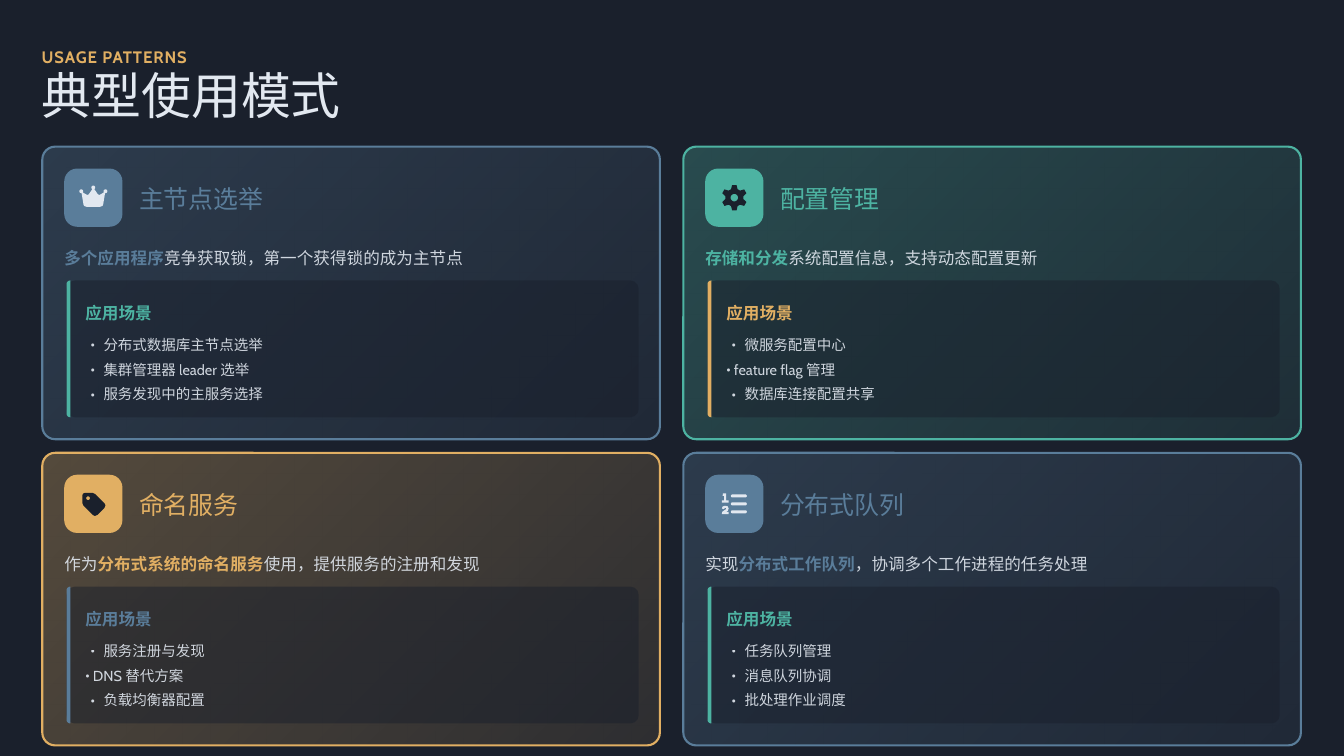
import math
from dataclasses import dataclass

from pptx import Presentation, util as u
from pptx.dml.color import RGBColor
from pptx.enum import shapes, text
from pptx.oxml.ns import qn


@dataclass(frozen=True)
class Theme:
    night: str = "1A202C"
    pale: str = "E2E8F0"
    blue: str = "5A7D9A"
    teal: str = "4DB3A2"
    amber: str = "E1AF63"
    latin: str = "Cabin"
    chinese: str = "Noto Sans CJK SC"
    title: float = 47.5
    heading: float = 23.7
    body: float = 15.8
    item: float = 13.8
    soft: int = 90  # opacity of body text, percent


T = Theme()


def set_alpha(color_node, percent):
    color_node.makeelement(qn("a:alpha"), {})
    alpha = color_node.makeelement(qn("a:alpha"), {"val": str(percent * 1000)})
    color_node.append(alpha)


def add_run(paragraph, words, size, color, bold=False, face=T.latin, alpha=100, spacing=0):
    run = paragraph.add_run()
    run.text = words
    for name, value in dict(size=u.Pt(size), bold=bold, name=face).items():
        setattr(run.font, name, value)
    run.font.color.rgb = RGBColor.from_string(color)
    if alpha < 100:
        set_alpha(run._r.xpath(".//a:srgbClr")[0], alpha)
    properties = run._r.get_or_add_rPr()
    if spacing:
        properties.set("spc", str(spacing))
    east_asian = properties.makeelement(qn("a:ea"), {"typeface": T.chinese})
    properties.find(qn("a:latin")).addnext(east_asian)


def add_text_frame(slide, left, top, width, height):
    box = slide.shapes.add_textbox(*map(u.Inches, (left, top, width, height)))
    frame = box.text_frame
    settings = dict(word_wrap=True, vertical_anchor=text.MSO_ANCHOR.MIDDLE,
                    margin_left=0, margin_right=0, margin_top=0, margin_bottom=0)
    for name, value in settings.items():
        setattr(frame, name, value)
    return frame


def add_line_of_text(slide, bounds, spacing, runs):
    paragraph = add_text_frame(slide, *bounds).paragraphs[0]
    paragraph.line_spacing = spacing
    for run in runs:
        add_run(paragraph, **run)


def add_list(slide, bounds, items):
    frame = add_text_frame(slide, *bounds)
    for index, item in enumerate(items):
        paragraph = frame.paragraphs[0] if index == 0 else frame.add_paragraph()
        paragraph.line_spacing = u.Pt(23.6)
        # Latin items sit closer to their bullet than Chinese ones.
        margin, hanging = (0.1, 0.1) if item[0].isascii() else (0.24, 0.17)
        properties = paragraph._p.get_or_add_pPr()
        properties.set("marL", str(u.Inches(margin)))
        properties.set("indent", str(-u.Inches(hanging)))
        for tag, values in (("a:buFont", {"typeface": T.latin}), ("a:buChar", {"char": "•"})):
            properties.append(properties.makeelement(qn(tag), values))
        add_run(paragraph, item, T.item, T.pale, alpha=T.soft)


def add_rounded(slide, left, top, width, height, radius):
    box = slide.shapes.add_shape(shapes.MSO_SHAPE.ROUNDED_RECTANGLE,
                                 *map(u.Inches, (left, top, width, height)))
    box.adjustments[0] = radius / min(width, height)
    box.shadow.inherit = False
    box.line.fill.background()
    return box


def fill_solid(shape, color):
    shape.fill.solid()
    shape.fill.fore_color.rgb = RGBColor.from_string(color)


def add_outline(slide, x, y, contours, color):
    """Draw closed contours, given in inches from (x, y), as one shape."""
    placed = [[(u.Inches(x + dx), u.Inches(y + dy)) for dx, dy in contour]
              for contour in contours]
    builder = slide.shapes.build_freeform(*placed[0][0])
    for index, contour in enumerate(placed):
        if index:
            builder.move_to(*contour[0])
        builder.add_line_segments(contour[1:], close=True)
    outline = builder.convert_to_shape()
    outline.shadow.inherit = False
    outline.line.fill.background()
    fill_solid(outline, color)


def arc(cx, cy, radius, start=0, end=345, step=15):
    return [(cx + radius * math.cos(math.radians(a)), cy + radius * math.sin(math.radians(a)))
            for a in range(start, end + 1, step)]


def crown():
    half = [(0.015, -0.11), (0.06, -0.045), (0.08, -0.035), (0.14, -0.07),
            (0.155, -0.06), (0.13, 0.09), (0.12, 0.11), (0.09, 0.12)]
    body = half + [(-x, y) for x, y in reversed(half)]
    return [body] + [arc(x, y, 0.025) for x, y in ((0, -0.135), (-0.16, -0.085), (0.16, -0.085))]


def gear():
    tooth = ((-21, 0.12), (-10, 0.17), (10, 0.17), (21, 0.12))
    rim = [arc(0, 0, radius, a, a)[0]
           for centre in range(-90, 270, 60)
           for a, radius in ((centre + turn, radius) for turn, radius in tooth)]
    return [rim, arc(0, 0, 0.05)]


def tag():
    edge = [(-0.145, -0.115), (-0.135, -0.135), (-0.115, -0.145), (-0.01, -0.145),
            (0.025, -0.13), (0.145, -0.01), (0.16, 0.02), (0.145, 0.055), (0.055, 0.145),
            (0.02, 0.16), (-0.01, 0.145), (-0.13, 0.025), (-0.145, -0.01)]
    return [edge, arc(-0.07, -0.075, 0.025)]


def numbered_list():
    one = [(-0.15, -0.14), (-0.11, -0.14), (-0.11, -0.045), (-0.075, -0.045), (-0.075, -0.015),
           (-0.165, -0.015), (-0.165, -0.045), (-0.135, -0.045), (-0.135, -0.105), (-0.155, -0.105)]
    two = [(-0.155, 0.035), (-0.125, 0.025), (-0.09, 0.03), (-0.075, 0.06), (-0.085, 0.09),
           (-0.11, 0.105), (-0.075, 0.105), (-0.075, 0.135), (-0.165, 0.135), (-0.16, 0.105),
           (-0.11, 0.07), (-0.105, 0.06), (-0.12, 0.05), (-0.14, 0.07), (-0.165, 0.06)]
    bars = [arc(-0.025, y, 0.02, 90, 270) + arc(0.145, y, 0.02, -90, 90)
            for y in (-0.105, 0, 0.105)]
    return [one, two] + bars


def add_card(slide, x, y, color, accent, icon, icon_color, heading, summary, items):
    card = add_rounded(slide, x, y, 8.17, 3.87, 0.17)
    card.fill.gradient()
    card.fill.gradient_angle = 315
    for stop in card.fill.gradient_stops:
        stop.color.rgb = RGBColor.from_string(color)
    for node, percent in zip(card.element.xpath(".//a:gsLst//a:srgbClr"), (30, 10)):
        set_alpha(node, percent)
    card.line.color.rgb = RGBColor.from_string(color)
    card.line.width = u.Pt(2)

    fill_solid(add_rounded(slide, x + 0.29, y + 0.29, 0.77, 0.77, 0.17), color)
    add_outline(slide, x + 0.675, y + 0.675, icon(), icon_color)
    add_line_of_text(slide, (x + 1.28, y + 0.45, 0.33 * len(heading) + 0.16, 0.44), 1.1,
                     [dict(words=heading, size=T.heading, color=color, face=T.chinese)])
    strong = dict(color=color, bold=True)
    plain = dict(color=T.pale, alpha=T.soft)
    add_line_of_text(slide, (x + 0.29, y + 1.27, 7.71, 0.33), 1.3,
                     [dict(words=words, size=T.body, **(strong if is_key else plain))
                      for words, is_key in summary])

    panel = add_rounded(slide, x + 0.32, y + 1.77, 7.57, 1.81, 0.11)
    fill_solid(panel, T.night)
    set_alpha(panel.element.xpath("./p:spPr/a:solidFill/a:srgbClr")[0], 50)
    stripe = arc(0.05, 0.05, 0.05, 180, 270) + arc(0.05, 1.76, 0.05, 90, 180)
    add_outline(slide, x + 0.32, y + 1.77, [stripe], accent)
    add_line_of_text(slide, (x + 0.57, y + 1.99, 7.21, 0.33), 1.3,
                     [dict(words="应用场景", size=T.body, color=accent, bold=True)])
    add_list(slide, (x + 0.57, y + 2.43, 7.2, 0.93), items)


def main():
    deck = Presentation()
    deck.slide_width, deck.slide_height = u.Inches(17.78), u.Inches(10)
    slide = deck.slides.add_slide(deck.slide_layouts[6])
    fill_solid(slide.background, T.night)
    add_line_of_text(slide, (0.55, 0.55, 16.79, 0.33), 1.3,
                     [dict(words="USAGE PATTERNS", size=T.body, color=T.amber, bold=True, spacing=80)])
    add_line_of_text(slide, (0.55, 0.99, 17.01, 0.66), 0.8,
                     [dict(words="典型使用模式", size=T.title, color=T.pale, face=T.chinese)])
    patterns = [
        (T.blue, T.teal, crown, T.pale, "主节点选举",
         [("多个应用程序", True), ("竞争获取锁，第一个获得锁的成为主节点", False)],
         ["分布式数据库主节点选举", "集群管理器 leader 选举", "服务发现中的主服务选择"]),
        (T.teal, T.amber, gear, T.night, "配置管理",
         [("存储和分发", True), ("系统配置信息，支持动态配置更新", False)],
         ["微服务配置中心", "feature flag 管理", "数据库连接配置共享"]),
        (T.amber, T.blue, tag, T.night, "命名服务",
         [("作为", False), ("分布式系统的命名服务", True), ("使用，提供服务的注册和发现", False)],
         ["服务注册与发现", "DNS 替代方案", "负载均衡器配置"]),
        (T.blue, T.teal, numbered_list, T.pale, "分布式队列",
         [("实现", False), ("分布式工作队列", True), ("，协调多个工作进程的任务处理", False)],
         ["任务队列管理", "消息队列协调", "批处理作业调度"]),
    ]
    for index, pattern in enumerate(patterns):
        row, column = divmod(index, 2)
        add_card(slide, 0.56 + 8.48 * column, 1.94 + 4.05 * row, *pattern)
    deck.save("out.pptx")


if __name__ == "__main__":
    main()
